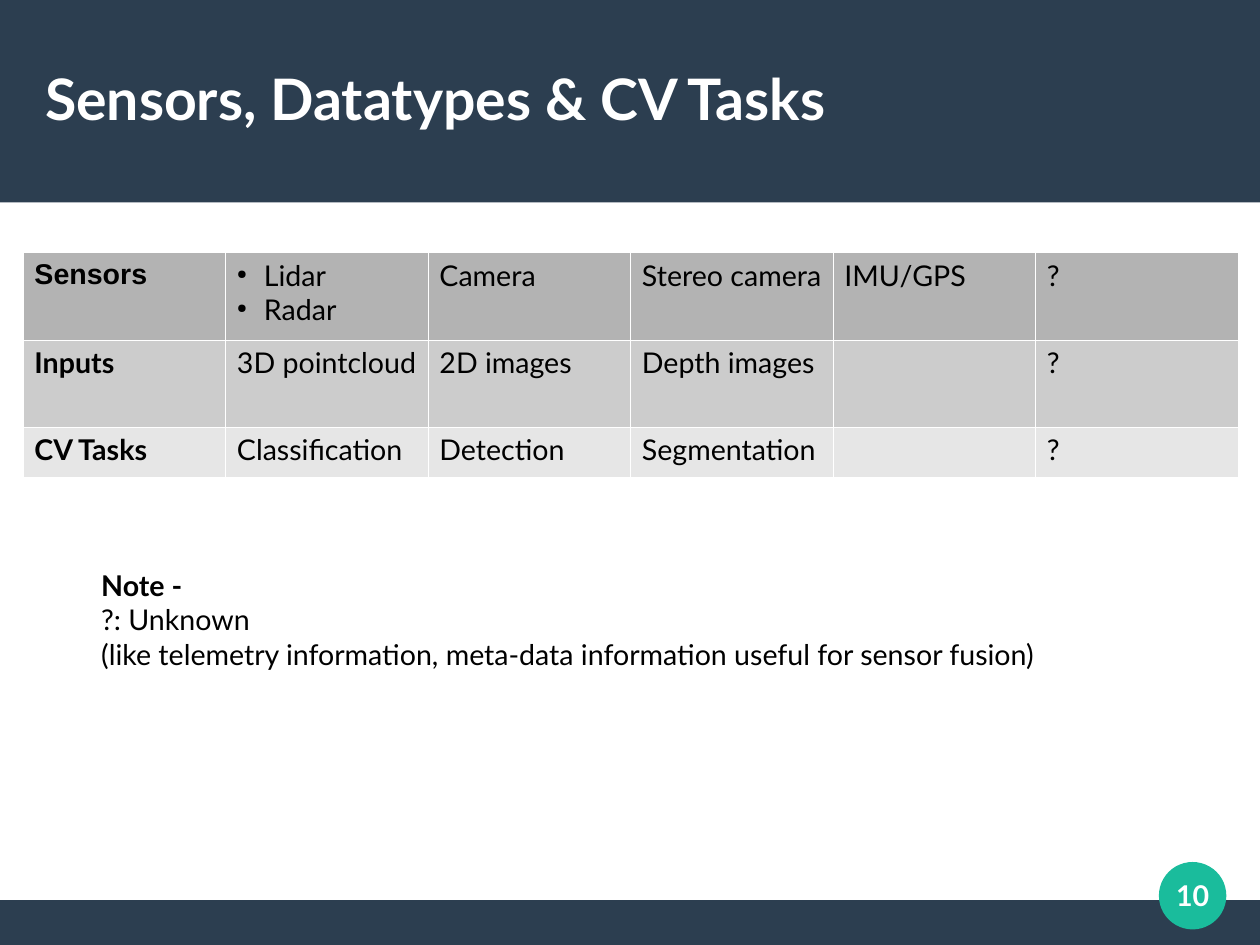
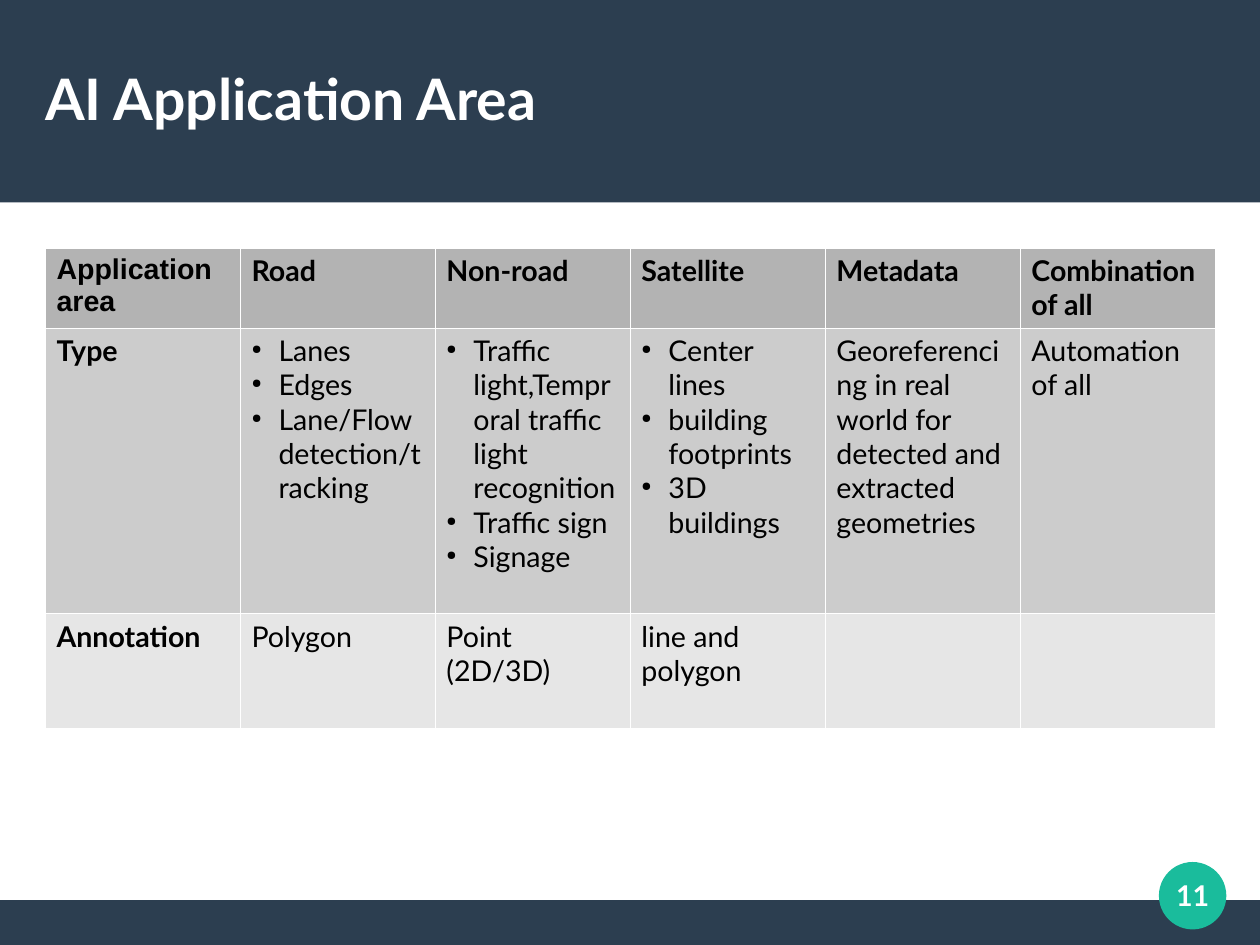
from lxml import etree
from pptx import Presentation
from pptx.dml.color import RGBColor
from pptx.enum.shapes import MSO_SHAPE
from pptx.enum.text import MSO_ANCHOR, MSO_AUTO_SIZE, PP_ALIGN
from pptx.oxml.ns import qn
from pptx.util import Pt

RECTANGLE, OVAL = MSO_SHAPE.RECTANGLE, MSO_SHAPE.OVAL
LEFT, CENTER = PP_ALIGN.LEFT, PP_ALIGN.CENTER
MIDDLE = MSO_ANCHOR.MIDDLE
NO_AUTOFIT = MSO_AUTO_SIZE.NONE

NAVY, TEAL, WHITE, BLACK = "2C3E50", "1ABC9C", "FFFFFF", "000000"
ROW_FILLS = ["B3B3B3", "CCCCCC", "E6E6E6"]
WIDTH, HEIGHT = 793.7, 595.3


def paint(color_format_owner, color):
    """Give a fill or a font a solid colour."""
    if hasattr(color_format_owner, "solid"):
        color_format_owner.solid()
        color_format_owner = color_format_owner.fore_color
    else:
        color_format_owner = color_format_owner.color
    color_format_owner.rgb = RGBColor.from_string(color)


def write(frame, text, size=18, font="Lato", color=BLACK, bold=False, align=LEFT):
    """Fill a text frame: a string gives plain lines, a list gives bullets."""
    bulleted = isinstance(text, list)
    for index, line in enumerate(text if bulleted else text.split("\n")):
        paragraph = frame.add_paragraph() if index else frame.paragraphs[0]
        paragraph.alignment = align
        if bulleted:
            properties = paragraph._p.get_or_add_pPr()
            properties.set("marL", str(Pt(17)))
            properties.set("indent", str(-Pt(17)))
            bullet_color = etree.SubElement(properties, qn("a:buClr"))
            etree.SubElement(bullet_color, qn("a:srgbClr"), val=BLACK)
            etree.SubElement(properties, qn("a:buSzPct"), val="45000")
            etree.SubElement(properties, qn("a:buChar"), char="●")
        run = paragraph.add_run()
        run.text = line
        run.font.size, run.font.name, run.font.bold = Pt(size), font, bold
        paint(run.font, color)


deck = Presentation()
deck.slide_width, deck.slide_height = Pt(WIDTH), Pt(HEIGHT)
title_only = deck.slide_layouts[5]
for placeholder in list(title_only.placeholders):
    if placeholder.placeholder_format.idx != 0:
        placeholder.element.getparent().remove(placeholder.element)

pages = [
    {
        "title": "Sensors, Datatypes & CV Tasks",
        "number": "10",
        "place": (14.5, 159, 765.4),
        "row_heights": [55, 55, 31.5],
        "bold_header": False,
        "rows": [
            ["Sensors", ["Lidar", "Radar"], "Camera", "Stereo camera", "IMU/GPS", "?"],
            ["Inputs", "3D pointcloud", "2D images", "Depth images", "", "?"],
            ["CV Tasks", "Classification", "Detection", "Segmentation", "", "?"],
        ],
        "note": "Note -\n?: Unknown\n"
                "(like telemetry information, meta-data information useful for sensor fusion)",
    },
    {
        "title": "AI Application Area",
        "number": "11",
        "place": (28.4, 156, 737),
        "row_heights": [50.2, 180, 72],
        "bold_header": True,
        "rows": [
            ["Application area", "Road", "Non-road", "Satellite", "Metadata",
             "Combination of all"],
            ["Type",
             ["Lanes", "Edges", "Lane/Flow detection/tracking"],
             ["Traffic light,Temproral traffic light recognition", "Traffic sign", "Signage"],
             ["Center lines", "building footprints", "3D buildings"],
             "Georeferencing in real world for detected and extracted geometries",
             "Automation of all"],
            ["Annotation", "Polygon", "Point\n(2D/3D)", "line and polygon", "", ""],
        ],
        "note": None,
    },
]

slides = [deck.slides.add_slide(title_only) for page in pages]

# Shared bands and number badge: drawn once, then moved into the layout
for kind, color, left, top, width, height in [
    (RECTANGLE, NAVY, 0, 567, WIDTH, HEIGHT - 567),
    (RECTANGLE, NAVY, 0, 0, WIDTH, 127.5),
    (OVAL, TEAL, 730, 543, 42.5, 42.5),
]:
    decoration = slides[0].shapes.add_shape(kind, Pt(left), Pt(top), Pt(width), Pt(height))
    decoration.shadow.inherit = False
    paint(decoration.fill, color)
    decoration.line.fill.background()
    title_only.shapes.element.append(decoration.element)

for slide, page in zip(slides, pages):
    title = slide.shapes.title
    title.left, title.top, title.width, title.height = Pt(28.4), Pt(23.8), Pt(737), Pt(75.6)
    number = slide.shapes.add_textbox(Pt(723), Pt(535.8), Pt(56.7), Pt(56.7))
    for holder, text, size, align in [
        (title, page["title"], 36, LEFT),
        (number, page["number"], 18, CENTER),
    ]:
        frame = holder.text_frame
        frame.margin_left = frame.margin_right = frame.margin_top = frame.margin_bottom = 0
        frame.vertical_anchor = MIDDLE
        frame.word_wrap = True
        frame.auto_size = NO_AUTOFIT
        write(frame, text, size=size, color=WHITE, bold=True, align=align)

    rows = page["rows"]
    left, top, width = page["place"]
    table = slide.shapes.add_table(
        len(rows), len(rows[0]), Pt(left), Pt(top), Pt(width), Pt(sum(page["row_heights"]))
    ).table
    table.first_row = table.horz_banding = False
    for column in table.columns:
        column.width = Pt(width / len(rows[0]))
    for r, row in enumerate(rows):
        table.rows[r].height = Pt(page["row_heights"][r])
        for c, text in enumerate(row):
            cell = table.cell(r, c)
            cell.margin_left = cell.margin_right = Pt(7.2)
            cell.margin_top = cell.margin_bottom = Pt(3.6)
            cell_properties = cell._tc.get_or_add_tcPr()
            for side in ("a:lnL", "a:lnR", "a:lnT", "a:lnB"):
                border = etree.SubElement(cell_properties, qn(side), w=str(Pt(0.06)))
                border_fill = etree.SubElement(border, qn("a:solidFill"))
                etree.SubElement(border_fill, qn("a:srgbClr"), val=WHITE)
            paint(cell.fill, ROW_FILLS[r])
            if text:
                write(
                    cell.text_frame, text,
                    font="Arial" if r == c == 0 else "Lato",
                    bold=c == 0 or (r == 0 and page["bold_header"]),
                )

    if page["note"]:
        note = slide.shapes.add_textbox(Pt(56.7), Pt(354.3), Pt(695), Pt(80.6)).text_frame
        note.word_wrap = True
        write(note, page["note"])
        note.paragraphs[0].runs[0].font.bold = True

deck.save("out.pptx")
